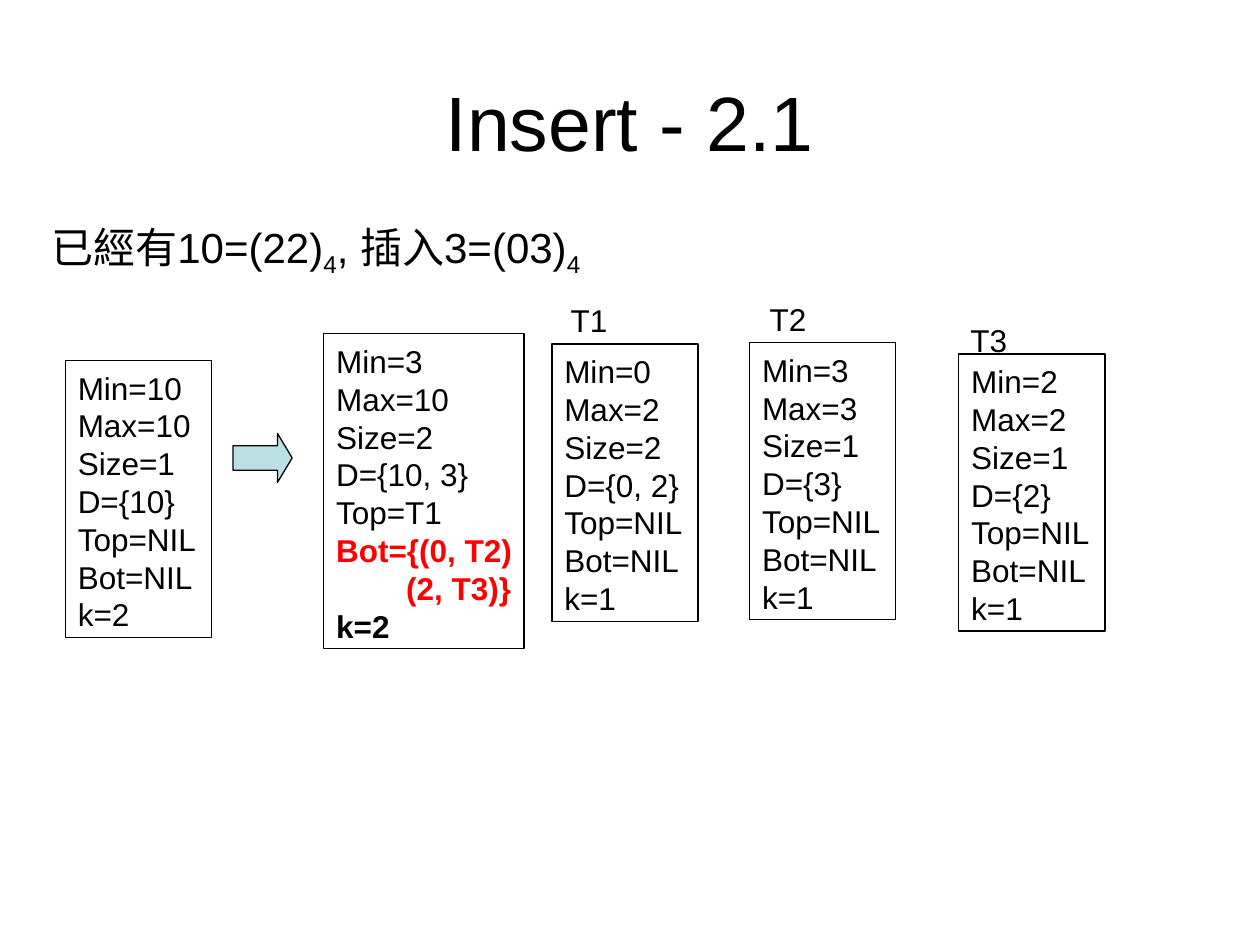
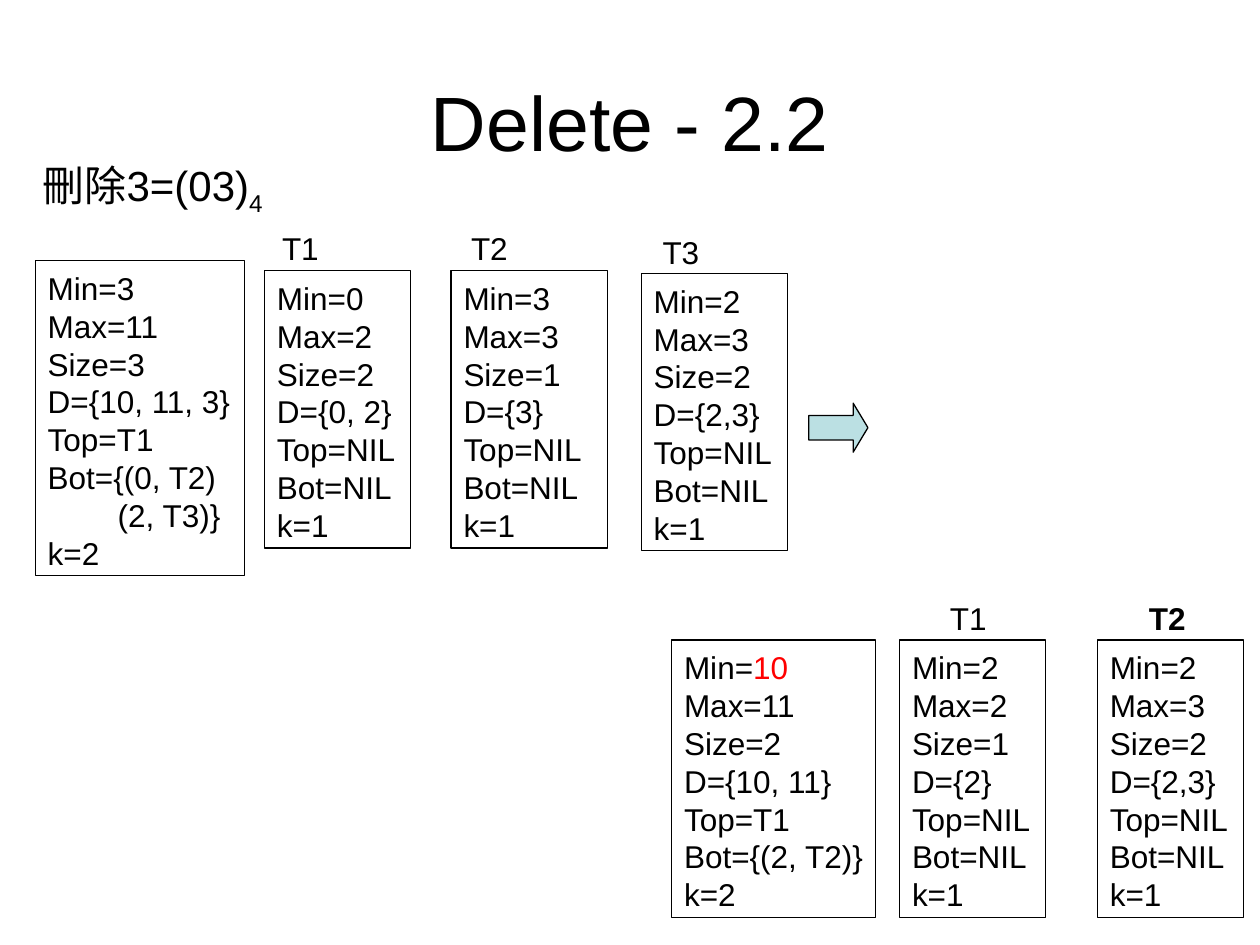
"""Build two slides that show insertion into and deletion from a recursive integer set."""
from pptx import Presentation
from pptx.dml.color import RGBColor
from pptx.enum.shapes import MSO_SHAPE
from pptx.enum.text import MSO_ANCHOR, PP_ALIGN
from pptx.util import Pt

RECTANGLE, RIGHT_ARROW = MSO_SHAPE.RECTANGLE, MSO_SHAPE.RIGHT_ARROW
TOP, MIDDLE = MSO_ANCHOR.TOP, MSO_ANCHOR.MIDDLE
LEFT, CENTER = PP_ALIGN.LEFT, PP_ALIGN.CENTER

BLACK = RGBColor(0x00, 0x00, 0x00)
RED = RGBColor(0xFF, 0x00, 0x00)
PALE_TEAL = RGBColor(0xBB, 0xE0, 0xE3)

FONT = "Arial"
SIDE_INSET, NODE_INSET, HEADING_INSET = 7.2, 4.7, 3.6
NODE_LINE, HEADING_LINE, TITLE_LINE = 21.6, 32, 52.8
NODE_PADDING = 7.2
LABEL_SIZE = (35.3, 28.8)
ARROW_SIZE = (33.8, 28)
TITLE_BOX = (36, 24, 648, 90)
PAIR_INDENT = 40

BOLD = {"bold": True}
RED_TEXT = {"color": RED}
RED_BOLD = {"color": RED, "bold": True}
SUBSCRIPT = {"baseline": "-25000"}
INDENTED = {"indent": PAIR_INDENT}


def leaf(smallest, largest, size, members, k=1):
    """List the fields of a node that has no subtrees."""
    return [f"Min={smallest}", f"Max={largest}", f"Size={size}",
            f"D={{{members}}}", "Top=NIL", "Bot=NIL", f"k={k}"]


LEAF_WIDTH = 83.5
SLIDES = [
    {
        "title": "Insert - 2.1",
        "heading": (22.3, 123.8, 360,
                    [("已經有10=(22)", {}), ("4", SUBSCRIPT),
                     (", 插入3=(03)", {}), ("4", SUBSCRIPT)]),
        "arrow": (133.2, 247.7),
        "nodes": [
            (37.4, 206, LEAF_WIDTH, leaf(10, 10, 1, "10", k=2)),
            (185, 190.8, 114.5,
             ["Min=3", "Max=10", "Size=2", "D={10, 3}", "Top=T1",
              [("Bot={(0, T2)", RED_BOLD)],
              [("(2, T3)}", RED_BOLD | INDENTED)],
              [("k=2", BOLD)]]),
            (315.4, 196.6, LEAF_WIDTH, leaf(0, 2, 2, "0, 2")),
            (428.4, 195.8, LEAF_WIDTH, leaf(3, 3, 1, "3")),
            (547.9, 202.3, LEAF_WIDTH, leaf(2, 2, 1, "2")),
        ],
        "labels": [("T1", 319, 167.4, {}), ("T2", 432.7, 166.7, {}),
                   ("T3", 547.4, 178.6, {})],
    },
    {
        "title": "Delete - 2.2",
        "heading": (17.3, 88.6, 180, [("刪除3=(03)", {}), ("4", SUBSCRIPT)]),
        "arrow": (462.2, 230.4),
        "nodes": [
            (20.2, 149, 119.5,
             ["Min=3", "Max=11", "Size=3", "D={10, 11, 3}", "Top=T1",
              "Bot={(0, T2)", [("(2, T3)}", INDENTED)], "k=2"]),
            (151.2, 154.8, LEAF_WIDTH, leaf(0, 2, 2, "0, 2")),
            (257.8, 154.8, 89.3, leaf(3, 3, 1, "3")),
            (366.5, 156.4, LEAF_WIDTH, leaf(2, 3, 2, "2,3")),
            (383.8, 365.8, 116.6,
             [[("Min=", {}), ("10", RED_TEXT)], "Max=11", "Size=2",
              "D={10, 11}", "Top=T1", "Bot={(2, T2)}", "k=2"]),
            (514.1, 365.8, LEAF_WIDTH, leaf(2, 2, 1, "2")),
            (627.1, 365.8, LEAF_WIDTH, leaf(2, 3, 2, "2,3")),
        ],
        "labels": [("T1", 154.1, 126, {}), ("T2", 262.1, 126, {}),
                   ("T3", 371.5, 128.2, {}), ("T1", 535.7, 337.7, {}),
                   ("T2", 649.4, 337.7, BOLD)],
    },
]


def write(frame, lines, size, spacing, inset, align=LEFT, anchor=TOP):
    """Fill a text frame with lines, each a string or a list of styled runs."""
    settings = {"word_wrap": True, "vertical_anchor": anchor,
                "margin_left": Pt(SIDE_INSET), "margin_right": 0,
                "margin_top": Pt(inset), "margin_bottom": Pt(HEADING_INSET)}
    if align == CENTER:
        settings["margin_right"] = Pt(SIDE_INSET)
    for name, value in settings.items():
        setattr(frame, name, value)
    for index, line in enumerate(lines):
        paragraph = frame.paragraphs[0] if index == 0 else frame.add_paragraph()
        paragraph.alignment = align
        paragraph.line_spacing = Pt(spacing)
        for text, style in [(line, {})] if isinstance(line, str) else line:
            run = paragraph.add_run()
            run.text = text
            font = {"name": FONT, "size": Pt(size), "bold": style.get("bold", False)}
            for name, value in font.items():
                setattr(run.font, name, value)
            run.font.color.rgb = style.get("color", BLACK)
            if "baseline" in style:
                run.font._element.set("baseline", style["baseline"])
            if "indent" in style:
                properties = paragraph._p.get_or_add_pPr()
                properties.set("marL", str(Pt(style["indent"])))
                properties.set("indent", "0")


def add_text(slide, box, lines, *layout):
    """Add a text box at a place given in points."""
    write(slide.shapes.add_textbox(*map(Pt, box)).text_frame, lines, *layout)


def add_outlined(slide, kind, box, fill=None):
    """Add a thinly outlined shape at a place given in points."""
    outlined = slide.shapes.add_shape(kind, *map(Pt, box))
    outlined.shadow.inherit = False
    outlined.line.color.rgb = BLACK
    outlined.line.width = Pt(0.75)
    if fill is None:
        outlined.fill.background()
    else:
        outlined.fill.solid()
        outlined.fill.fore_color.rgb = fill
    return outlined


def build_slide(deck, content):
    """Draw the title, heading, arrow, nodes and labels of one slide."""
    slide = deck.slides.add_slide(deck.slide_layouts[6])
    add_text(slide, TITLE_BOX, [content["title"]], 44, TITLE_LINE,
             HEADING_INSET, CENTER, MIDDLE)
    for left, top, width, fields in content["nodes"]:
        height = len(fields) * NODE_LINE + NODE_PADDING
        node = add_outlined(slide, RECTANGLE, (left, top, width, height))
        write(node.text_frame, fields, 18, NODE_LINE, NODE_INSET)
    arrow = add_outlined(slide, RIGHT_ARROW, content["arrow"] + ARROW_SIZE, PALE_TEAL)
    arrow.adjustments[1] = 0.3
    for label, left, top, style in content["labels"]:
        add_text(slide, (left, top) + LABEL_SIZE, [[(label, style)]],
                 18, NODE_LINE, NODE_INSET)
    left, top, width, runs = content["heading"]
    add_text(slide, (left, top, width, 40.3), [runs], 24, HEADING_LINE, HEADING_INSET)


def main():
    """Build and save the deck."""
    deck = Presentation()
    deck.slide_width, deck.slide_height = Pt(720), Pt(540)
    for content in SLIDES:
        build_slide(deck, content)
    deck.save("out.pptx")


if __name__ == "__main__":
    main()
